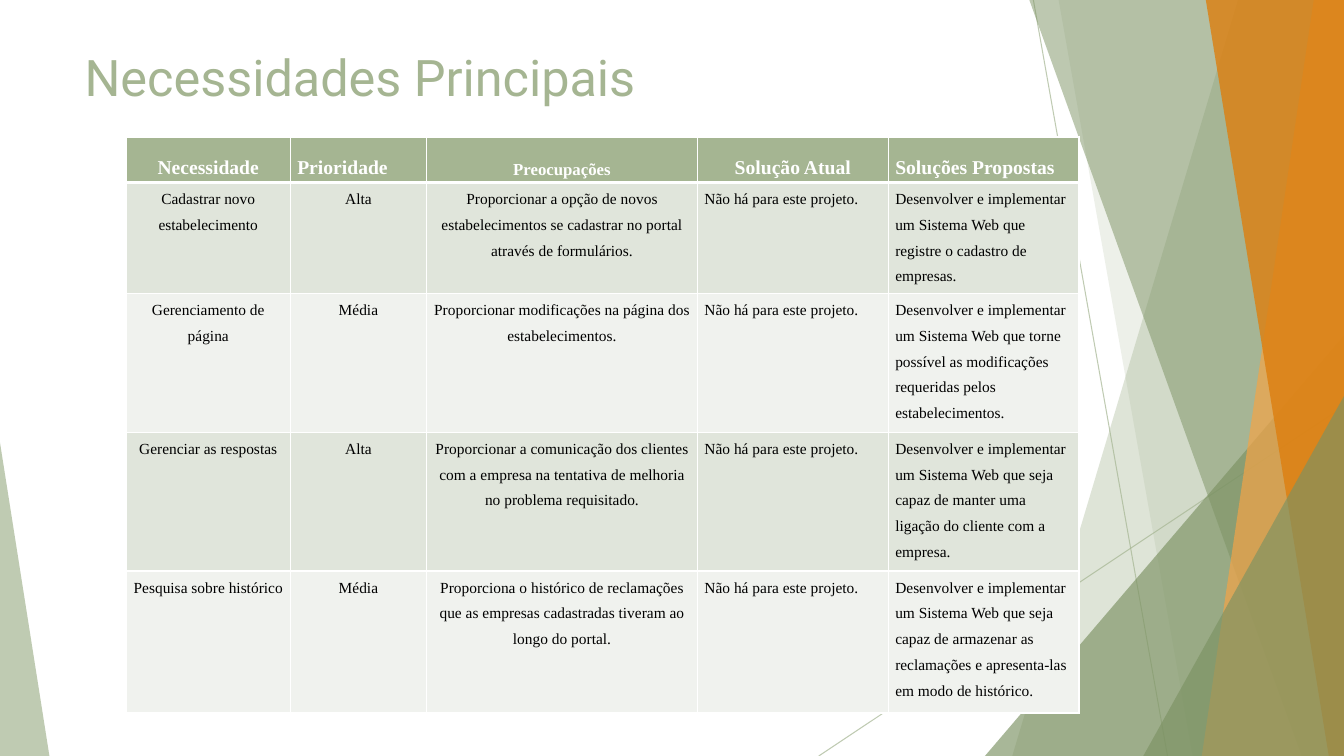
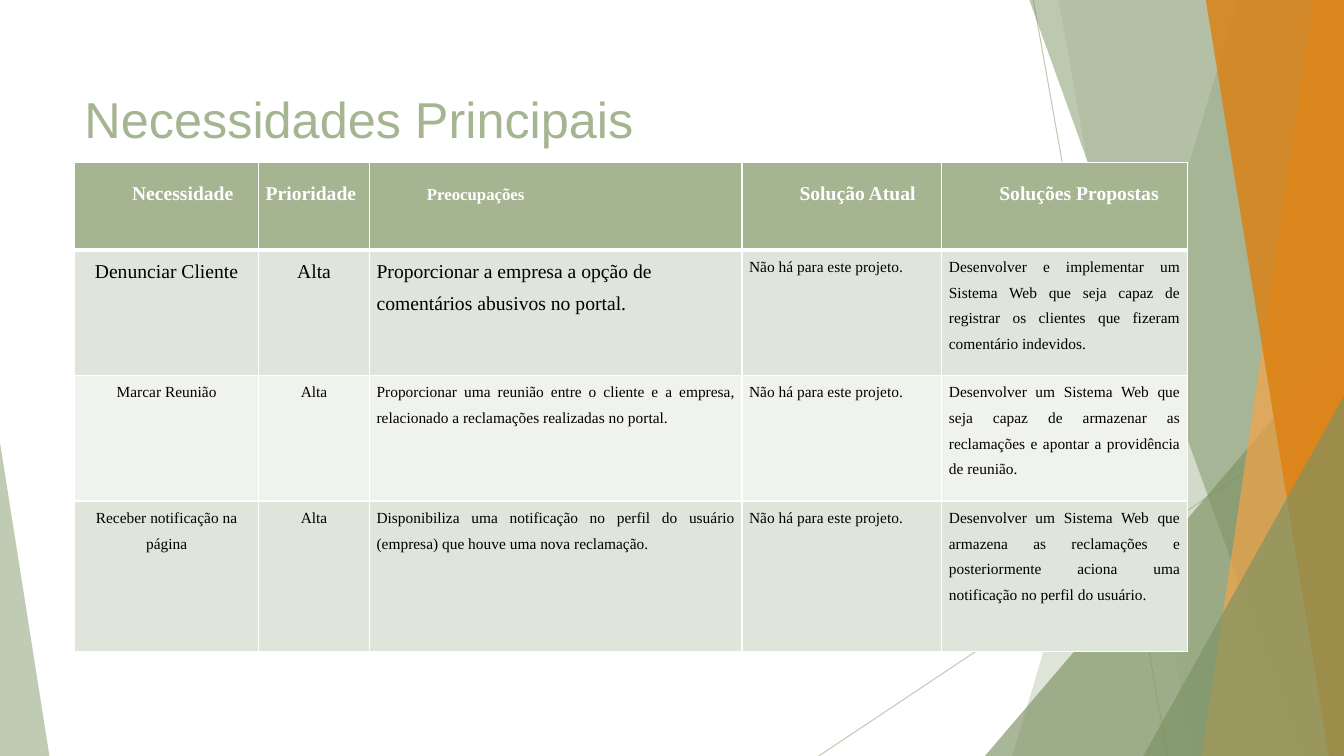
from dataclasses import dataclass

from lxml import etree
from pptx import Presentation
from pptx import util as u
from pptx.dml.color import RGBColor
from pptx.enum import shapes, text
from pptx.oxml.ns import qn


@dataclass(frozen=True)
class Theme:
    sage: str = "A5B592"
    moss: str = "7C9263"
    amber: str = "F3A447"
    orange: str = "DD7E0E"
    white: str = "FFFFFF"
    black: str = "000000"
    bands: tuple = ("F0F2EE", "E0E5DB")
    table_font: str = "Times New Roman"
    title_size: int = 36
    large: int = 14
    medium: int = 12
    small: int = 11


theme = Theme()
LEFT, CENTER, JUSTIFY = (text.PP_ALIGN.LEFT, text.PP_ALIGN.CENTER,
                         text.PP_ALIGN.JUSTIFY)

prs = Presentation()
prs.slide_width, prs.slide_height = u.Inches(13.333), u.Inches(7.5)
blank = prs.slide_layouts[6]


def across(percent):
    """Length as a percentage of the slide's width."""
    return u.Emu(round(prs.slide_width * percent / 100))


def down(percent):
    """Length as a percentage of the slide's height."""
    return u.Emu(round(prs.slide_height * percent / 100))


# Shared backdrop, back to front, in percent of the slide.
# line: x1, y1, x2, y2; band: top x, bottom x (runs to the right edge);
# corner: left, top, width, apex (runs to the bottom edge)
backdrop = [
    ("line", (76.89, 0, 86.87, 100), theme.sage, 70),
    ("line", (100, 53.73, 60.92, 100), theme.sage, 70),
    ("band", (92.12, 75.32), theme.sage, 36),
    ("band", (78.77, 88.75), theme.sage, 20),
    ("corner", (73.29, 44.4, 26.71, 1), theme.moss, 66),
    ("band", (76.59, 96.85), theme.moss, 50),
    ("band", (97.75, 89.42), theme.amber, 70),
    ("band", (89.72, 98.87), theme.orange, 80),
    ("corner", (85.07, 52.4, 14.93, 1), theme.moss, 66),
    ("corner", (0, 58.53, 3.68, 0), theme.sage, 70),
]

# Page contents; a header is (wording, size, alignment, left indent in inches)
pages = [
    dict(
        title_font="Roboto", title_box=(5.55, 4.8, 70.5, 19.2),
        corner=(9.4, 18.13),
        columns=(12.2, 10.15, 20.15, 14.2, 14.2),
        rows=(6, 13.63, 17.07, 17, 18.8),
        header=[("Necessidade", theme.large, CENTER, 0),
                ("Prioridade", theme.large, LEFT, 0),
                ("Preocupações", theme.medium, CENTER, 0),
                ("Solução Atual", theme.large, CENTER, 0),
                ("Soluções Propostas", theme.large, LEFT, 0)],
        aligns=(CENTER, CENTER, CENTER, LEFT, LEFT),
        exceptions={},
        needs=[
            ("Cadastrar novo estabelecimento", "Alta",
             "Proporcionar a opção de novos estabelecimentos se cadastrar no "
             "portal através de formulários.",
             "Desenvolver e implementar um Sistema Web que registre o "
             "cadastro de empresas."),
            ("Gerenciamento de página", "Média",
             "Proporcionar modificações na página dos estabelecimentos.",
             "Desenvolver e implementar um Sistema Web que torne possível as "
             "modificações requeridas pelos estabelecimentos."),
            ("Gerenciar as respostas", "Alta",
             "Proporcionar a comunicação dos clientes com a empresa na "
             "tentativa de melhoria no problema requisitado.",
             "Desenvolver e implementar um Sistema Web que seja capaz de "
             "manter uma ligação do cliente com a empresa."),
            ("Pesquisa sobre histórico", "Média",
             "Proporciona o histórico de reclamações que as empresas "
             "cadastradas tiveram ao longo do portal.",
             "Desenvolver e implementar um Sistema Web que seja capaz de "
             "armazenar as reclamações e apresenta-las em modo de histórico."),
        ],
    ),
    dict(
        title_font="Arial", title_box=(5.55, 10.27, 74.93, 9.47),
        corner=(5.55, 21.47),
        columns=(13.7, 8.25, 27.72, 14.87, 18.25),
        rows=(11.6, 16.6, 16.6, 19.87),
        header=[("Necessidade", theme.large, LEFT, 0.5),
                ("Prioridade", theme.large, LEFT, 0),
                ("Preocupações", theme.medium, LEFT, 0.5),
                ("Solução Atual", theme.large, LEFT, 0.5),
                ("Soluções Propostas", theme.large, LEFT, 0.5)],
        aligns=(CENTER, CENTER, JUSTIFY, JUSTIFY, JUSTIFY),
        exceptions={(1, 0): (theme.large, CENTER),
                    (1, 1): (theme.large, CENTER),
                    (1, 2): (theme.large, LEFT)},
        needs=[
            ("Denunciar Cliente", "Alta",
             "Proporcionar a empresa a opção de comentários abusivos no "
             "portal.",
             "Desenvolver e implementar um Sistema Web que seja capaz de "
             "registrar os clientes que fizeram comentário indevidos."),
            ("Marcar Reunião", "Alta",
             "Proporcionar uma reunião entre o cliente e a empresa, "
             "relacionado a reclamações realizadas no portal.",
             "Desenvolver um Sistema Web que seja capaz de armazenar as "
             "reclamações e apontar a providência de reunião."),
            ("Receber notificação na página", "Alta",
             "Disponibiliza uma notificação no perfil do usuário (empresa) "
             "que houve uma nova reclamação.",
             "Desenvolver um Sistema Web que armazena as reclamações e "
             "posteriormente aciona uma notificação no perfil do usuário."),
        ],
    ),
]
slides = [prs.slides.add_slide(blank) for page in pages]

# Backdrop: drawn once, then moved to the layout that all slides use
for placeholder in list(blank.placeholders):
    placeholder.element.getparent().remove(placeholder.element)
for kind, place, color, opacity in backdrop:
    canvas = slides[0].shapes
    if kind == "line":
        x1, y1, x2, y2 = place
        part = canvas.add_connector(shapes.MSO_CONNECTOR.STRAIGHT, across(x1),
                                    down(y1), across(x2), down(y2))
        part.line.color.rgb = RGBColor.from_string(color)
        part.line.width = u.Pt(0.75)
        etree.SubElement(part.element.spPr, qn("a:effectLst"))
    else:
        if kind == "band":
            top, bottom = place
            outline = canvas.build_freeform(across(top), 0)
            outline.add_line_segments([(across(100), 0),
                                       (across(100), down(100)),
                                       (across(bottom), down(100))])
            part = outline.convert_to_shape()
        else:
            left, top, width, apex = place
            part = canvas.add_shape(shapes.MSO_SHAPE.ISOSCELES_TRIANGLE,
                                    across(left), down(top),
                                    across(width), down(100 - top))
            part.adjustments[0] = apex
        part.shadow.inherit = False
        part.fill.solid()
        part.fill.fore_color.rgb = RGBColor.from_string(color)
        part.line.fill.background()
    tint = next(part.element.iter(qn("a:srgbClr")))
    etree.SubElement(tint, qn("a:alpha")).set("val", str(opacity * 1000))
    blank.shapes.element.append(part.element)

for page, slide in zip(pages, slides):
    # Title
    left, top, width, height = page["title_box"]
    title = slide.shapes.add_textbox(across(left), down(top),
                                     across(width), down(height)).text_frame
    title.word_wrap = True
    title.margin_top = title.margin_bottom = u.Inches(0.1)
    heading = title.paragraphs[0].add_run()
    heading.text = "Necessidades Principais"
    heading.font.name = page["title_font"]
    heading.font.size = u.Pt(theme.title_size)
    heading.font.color.rgb = RGBColor.from_string(theme.sage)

    # Table grid
    columns, rows = page["columns"], page["rows"]
    left, top = page["corner"]
    needs_table = slide.shapes.add_table(
        len(rows), len(columns), across(left), down(top),
        across(sum(columns)), down(sum(rows))).table
    for column, share in zip(needs_table.columns, columns):
        column.width = across(share)
    for row, share in zip(needs_table.rows, rows):
        row.height = down(share)

    # Cell contents: every need has the same current solution
    wording = [[label for label, *_ in page["header"]]]
    wording += [(need, priority, concern, "Não há para este projeto.", proposal)
                for need, priority, concern, proposal in page["needs"]]
    for r, labels in enumerate(wording):
        for c, label in enumerate(labels):
            is_header = r == 0
            if is_header:
                _, size, align, indent = page["header"][c]
                fill, ink = theme.sage, theme.white
            else:
                size, align = page["exceptions"].get(
                    (r, c), (theme.small, page["aligns"][c]))
                indent, fill, ink = 0, theme.bands[r % 2], theme.black
            cell = needs_table.cell(r, c)
            cell.margin_left = u.Inches(0.07 + indent)
            cell.margin_right = u.Inches(0.07)
            cell.margin_top = u.Pt(18 if is_header else 0)
            cell.margin_bottom = 0
            cell.fill.solid()
            cell.fill.fore_color.rgb = RGBColor.from_string(fill)

            paragraph = cell.text_frame.paragraphs[0]
            paragraph.alignment = align
            paragraph.line_spacing = u.Pt(12) if is_header else 1.5
            paragraph.space_after = u.Pt(6)
            run = paragraph.add_run()
            run.text = label
            run.font.name = theme.table_font
            run.font.size = u.Pt(size)
            run.font.bold = is_header
            run.font.color.rgb = RGBColor.from_string(ink)

            # White rules, thicker under the header
            properties = cell.fill.fore_color and cell._tc.tcPr
            for position, side in enumerate("LRTB"):
                thick = (r, side) in ((0, "B"), (1, "T"))
                rule = etree.Element(qn(f"a:ln{side}"),
                                     w=str(u.Pt(3 if thick else 1)))
                paint = etree.SubElement(rule, qn("a:solidFill"))
                etree.SubElement(paint, qn("a:srgbClr")).set("val", theme.white)
                properties.insert(position, rule)

prs.save("out.pptx")
